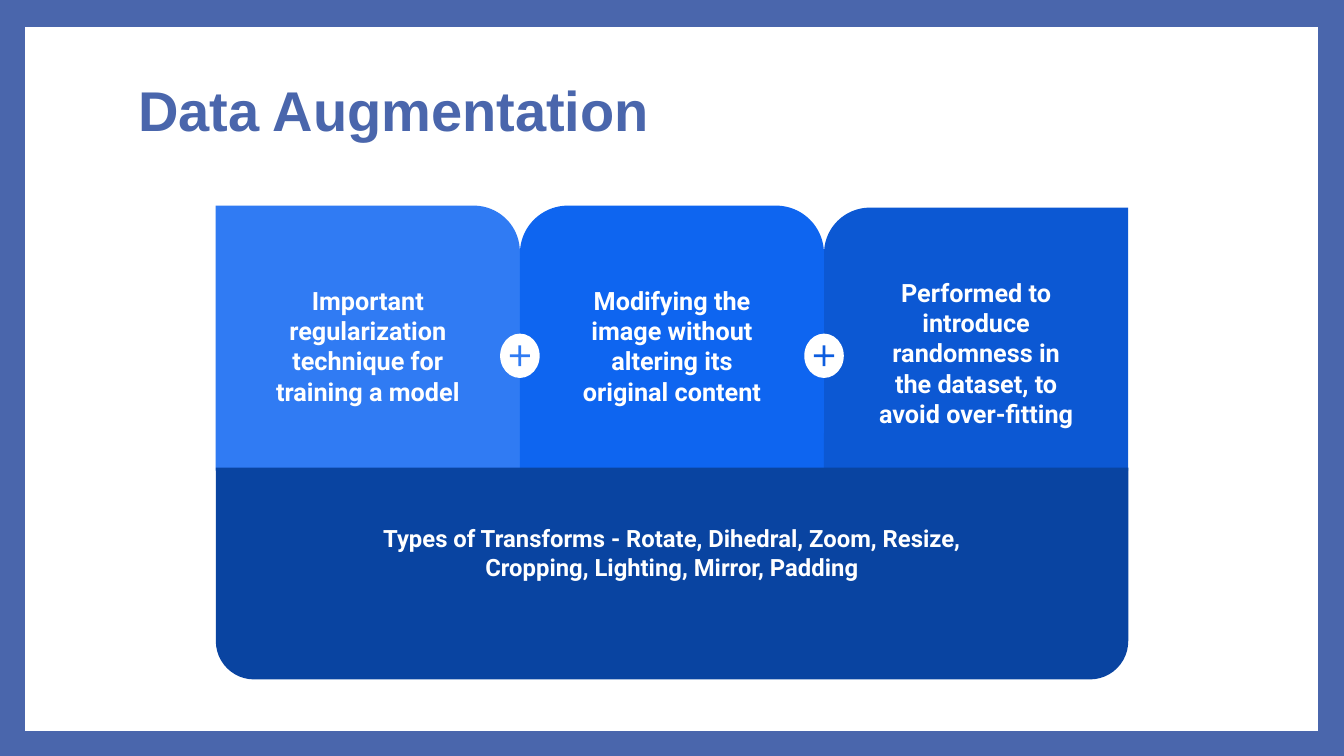
from dataclasses import dataclass

import pptx
import pptx.dml.color
import pptx.enum.shapes
import pptx.enum.text
import pptx.util

SHAPE = pptx.enum.shapes.MSO_SHAPE
ALIGN = pptx.enum.text.PP_ALIGN
ANCHOR = pptx.enum.text.MSO_ANCHOR
FIT = pptx.enum.text.MSO_AUTO_SIZE


@dataclass(frozen=True)
class Theme:
    frame: str = "4A66AC"
    white: str = "FFFFFF"
    cards: tuple = ("307BF3", "0E65F0", "0C58D3")
    signs: tuple = ("307BF3", "0D5DDF")
    base: str = "0944A1"
    head_font: str = "Arial"
    body_font: str = "Roboto"
    head_size: int = 40
    card_size: int = 18
    base_size: int = 17


@dataclass(frozen=True)
class Grid:
    """A box in inches, divided into equal columns and rows."""
    left: float
    top: float
    width: float
    height: float
    cols: float
    rows: float

    def cell(self, col, row, cols, rows):
        wide, high = self.width / self.cols, self.height / self.rows
        return [pptx.util.Inches(n) for n in (
            self.left + col * wide, self.top + row * high, cols * wide, rows * high)]

    def spot(self, col, row, cols, rows):
        """A cell given by its centre."""
        return self.cell(col - cols / 2, row - rows / 2, cols, rows)


THEME = Theme()
PAGE = Grid(0, 0, 13.33, 7.5, 13.33, 7.5)
CHART = Grid(2.14, 2.04, 9.05, 4.7, 3, 47)

# outline, corner sizes, flipped, top row, text row, words
CARDS = (
    (SHAPE.ROUND_1_RECTANGLE, (0.174,), False, 0, 6.6,
     "Important regularization technique for training a model"),
    (SHAPE.ROUND_2_SAME_RECTANGLE, (0.181, 0), False, 0, 6.6,
     "Modifying the image without altering its original content"),
    (SHAPE.ROUND_1_RECTANGLE, (0.174,), True, 0.2, 5.8,
     "Performed to introduce randomness in the dataset, to avoid over-fitting"),
)
CARD_END = 26.3
TYPES = ("Types of Transforms - Rotate, Dihedral, Zoom, Resize, "
         "Cropping, Lighting, Mirror, Padding")


def tint(code):
    return pptx.dml.color.RGBColor.from_string(code)


def style(font, name, size, color):
    font.name, font.size, font.bold = name, pptx.util.Pt(size), True
    font.color.rgb = tint(color)


def block(slide, kind, cell, color, corners=()):
    shape = slide.shapes.add_shape(kind, *cell)
    shape.shadow.inherit = False
    shape.fill.solid()
    shape.fill.fore_color.rgb = tint(color)
    shape.line.fill.background()
    for i, size in enumerate(corners):
        shape.adjustments[i] = size
    return shape


def label(slide, cell, words, size):
    frame = slide.shapes.add_textbox(*cell).text_frame
    frame.word_wrap = True
    frame.margin_left = frame.margin_right = pptx.util.Inches(0.13)
    frame.margin_top = frame.margin_bottom = pptx.util.Inches(0.13)
    para = frame.paragraphs[0]
    para.text = words
    para.alignment = ALIGN.CENTER
    style(para.font, THEME.body_font, size, THEME.white)


def add_frame(slide, grid):
    """Colour the page edge and lay a white panel behind everything."""
    slide.background.fill.solid()
    slide.background.fill.fore_color.rgb = tint(THEME.frame)
    panel = block(slide, SHAPE.RECTANGLE, grid.cell(0.25, 0.27, 12.82, 6.98), THEME.white)
    slide.shapes._spTree.insert(2, panel._element)


def add_title(slide, grid, words):
    title = slide.shapes.title
    title.left, title.top, title.width, title.height = grid.cell(1.27, 0.38, 10.8, 1.48)
    frame = title.text_frame
    frame.auto_size = FIT.NONE
    frame.vertical_anchor = ANCHOR.MIDDLE
    para = frame.paragraphs[0]
    para.text = words
    para.alignment = ALIGN.LEFT
    para.line_spacing = 0.9
    style(para.font, THEME.head_font, THEME.head_size, THEME.frame)


def add_cards(slide, grid):
    for col, (kind, corners, flip, top, row, words) in enumerate(CARDS):
        card = block(slide, kind, grid.cell(col, top, 1, CARD_END - top),
                     THEME.cards[col], corners)
        if flip:
            card._element.spPr.xfrm.set("flipH", "1")
        label(slide, grid.cell(col + 0.125, row, 0.75, 7.7), words, THEME.card_size)


def add_signs(slide, grid):
    """Put a plus badge on each seam between cards."""
    for seam, color in enumerate(THEME.signs, 1):
        block(slide, SHAPE.OVAL, grid.spot(seam, 14.9, 0.13, 4.4), THEME.white)
        block(slide, SHAPE.MATH_PLUS, grid.spot(seam, 14.9, 0.09, 2.8), color, (0.099,))


def add_base(slide, grid):
    base = block(slide, SHAPE.ROUND_2_SAME_RECTANGLE, grid.cell(0, 26, 3, 21),
                 THEME.base, (0.181, 0))
    base.rotation = 180
    label(slide, grid.cell(0.475, 30.3, 2.05, 5.9), TYPES, THEME.base_size)


def main():
    deck = pptx.Presentation()
    deck.slide_width = pptx.util.Inches(PAGE.width)
    deck.slide_height = pptx.util.Inches(PAGE.height)
    slide = deck.slides.add_slide(deck.slide_layouts[5])
    add_frame(slide, PAGE)
    add_title(slide, PAGE, "Data Augmentation")
    add_cards(slide, CHART)
    add_signs(slide, CHART)
    add_base(slide, CHART)
    deck.save("out.pptx")


if __name__ == "__main__":
    main()
